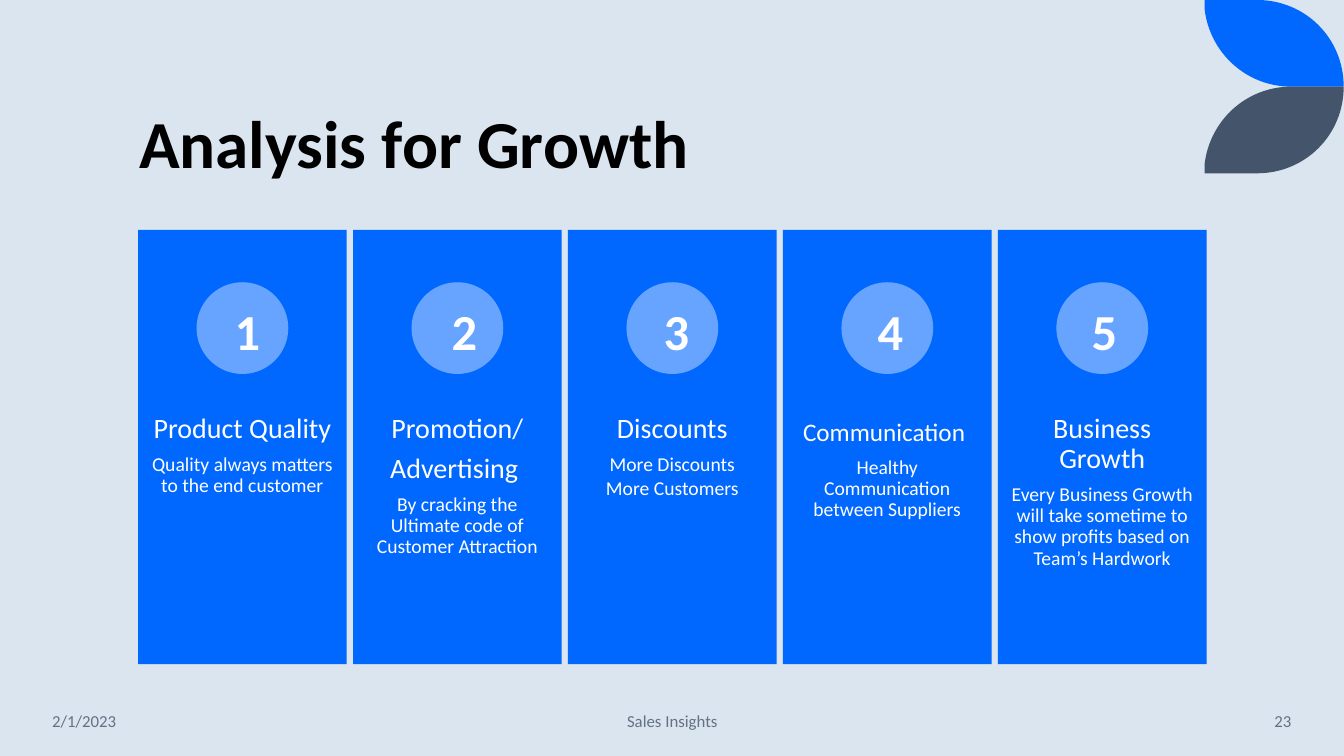
from lxml import etree
from pptx import Presentation, util as u
from pptx.dml.color import RGBColor
from pptx.enum import shapes, text
from pptx.oxml import ns

PX = 9144
FONT = "Calibri"
BLUE = RGBColor(0x00, 0x68, 0xFF)
LIGHT_BLUE = RGBColor(0x66, 0xA4, 0xFF)
SLATE = RGBColor(0x44, 0x54, 0x6A)
GREY = RGBColor(0x63, 0x71, 0x83)
PALE = RGBColor(0xDA, 0xE5, 0xEF)
WHITE = RGBColor(0xFF, 0xFF, 0xFF)
BLACK = RGBColor(0x00, 0x00, 0x00)
LEFT, CENTER, RIGHT = text.PP_ALIGN.LEFT, text.PP_ALIGN.CENTER, text.PP_ALIGN.RIGHT

COLUMNS = [
    (86, 11, 20, ["Product Quality"], ["Quality always matters to the end customer"]),
    (88, 11, 20, ["Promotion/", "Advertising "],
     ["By cracking the Ultimate code of Customer Attraction"]),
    (85, 11, 20, ["Discounts"], ["More Discounts", "More Customers"]),
    (84, 14, 18, ["Communication"], ["Healthy Communication between Suppliers"]),
    (83, 11, 20, ["Business Growth"],
     ["Every Business Growth will take sometime to show profits based on Team’s Hardwork"]),
]


def px(*lengths):
    return [u.Emu(round(n * PX)) for n in lengths]


def paint(sp, color):
    sp.shadow.inherit = False
    sp.fill.solid()
    sp.fill.fore_color.rgb = color
    sp.line.fill.background()


def add_run(p, words, size, color, bold=False):
    r = p.add_run()
    r.text = words
    r.font.name = FONT
    r.font.size = u.Pt(size)
    r.font.color.rgb = color
    r.font.bold = bold


def add_text_frame(s, box, anchor=text.MSO_ANCHOR.TOP):
    tf = s.shapes.add_textbox(*px(*box)).text_frame
    tf.word_wrap = True
    tf.vertical_anchor = anchor
    return tf


def add_line(s, box, words, size, color, align, anchor, bold=False):
    p = add_text_frame(s, box, anchor).paragraphs[0]
    p.alignment = align
    add_run(p, words, size, color, bold)


def bend(segment, controls):
    segment.tag = ns.qn("a:cubicBezTo")
    for i, (x, y) in enumerate(controls):
        pt = etree.Element(ns.qn("a:pt"), x=str(x), y=str(y))
        segment.insert(i, pt)


def add_leaf(s, box, color, flipped=False):
    x, y, w, h = box

    def place(points):
        return [px(dx, h - dy if flipped else dy) for dx, dy in points]

    left, top = px(x, y)
    corners = place([(0, 0), (52, 0), (w, h), (86, h), (0, 9)])
    builder = s.shapes.build_freeform(*corners[0])
    builder.add_line_segments(corners[1:], close=True)
    sp = builder.convert_to_shape(left, top)
    segments = list(sp._element.iter(ns.qn("a:lnTo")))
    bend(segments[1], place([(100, 0), (w, 38)]))
    bend(segments[3], place([(41, h), (5, 52)]))
    paint(sp, color)


def add_title(s, box, words):
    sp = s.shapes.title
    sp.left, sp.top, sp.width, sp.height = px(*box)
    tf = sp.text_frame
    tf.auto_size = text.MSO_AUTO_SIZE.NONE
    tf.vertical_anchor = text.MSO_ANCHOR.BOTTOM
    p = tf.paragraphs[0]
    p.alignment = LEFT
    p.line_spacing = 0.9
    add_run(p, words, 48, BLACK, True)


def add_column(s, box, number, column):
    x, y, w, h = box
    number_dx, inset, heading_size, headings, details = column
    paint(s.shapes.add_shape(shapes.MSO_SHAPE.RECTANGLE, *px(*box)), BLUE)
    paint(s.shapes.add_shape(shapes.MSO_SHAPE.OVAL, *px(x + 58, y + 52, 91, 91)), LIGHT_BLUE)
    add_line(s, (x + number_dx, y + 65, 38, 71), str(number), 36, WHITE, CENTER,
             text.MSO_ANCHOR.TOP, True)
    tf = add_text_frame(s, (x, y + 172, w, 172))
    tf.margin_left = tf.margin_top = tf.margin_right = tf.margin_bottom = px(inset)[0]
    lines = [(words, heading_size, 7) for words in headings]
    lines += [(words, 14, 2) for words in details]
    for i, (words, size, after) in enumerate(lines):
        p = tf.add_paragraph() if i else tf.paragraphs[0]
        p.alignment = CENTER
        p.line_spacing = 0.9
        p.space_after = u.Pt(after)
        add_run(p, words, size, WHITE)
        if size == 18:
            add_run(p, " ", 20, WHITE)


def add_columns(s, box):
    x, y, w, h = box
    width = 207
    pitch = (w - width) / (len(COLUMNS) - 1)
    for i, column in enumerate(COLUMNS):
        add_column(s, (x + i * pitch, y, width, h), i + 1, column)


def add_footer(s, y, h):
    for x, w, words, align in [(42, 186, "2/1/2023", LEFT),
                               (442, 450, "Sales Insights", CENTER),
                               (1110, 181, "23", RIGHT)]:
        add_line(s, (x, y, w, h), words, 12, GREY, align, text.MSO_ANCHOR.MIDDLE)


def main():
    prs = Presentation()
    prs.slide_width, prs.slide_height = u.Inches(13.333), u.Inches(7.5)
    s = prs.slides.add_slide(prs.slide_layouts[5])
    s.background.fill.solid()
    s.background.fill.fore_color.rgb = PALE
    add_leaf(s, (1195, 0, 138, 86), BLUE)
    add_leaf(s, (1195, 86, 138, 86), SLATE, flipped=True)
    add_title(s, (128, 42, 1069, 145), "Analysis for Growth")
    add_columns(s, (137, 228, 1060, 431))
    add_footer(s, 695, 40)
    prs.save("out.pptx")


if __name__ == "__main__":
    main()
